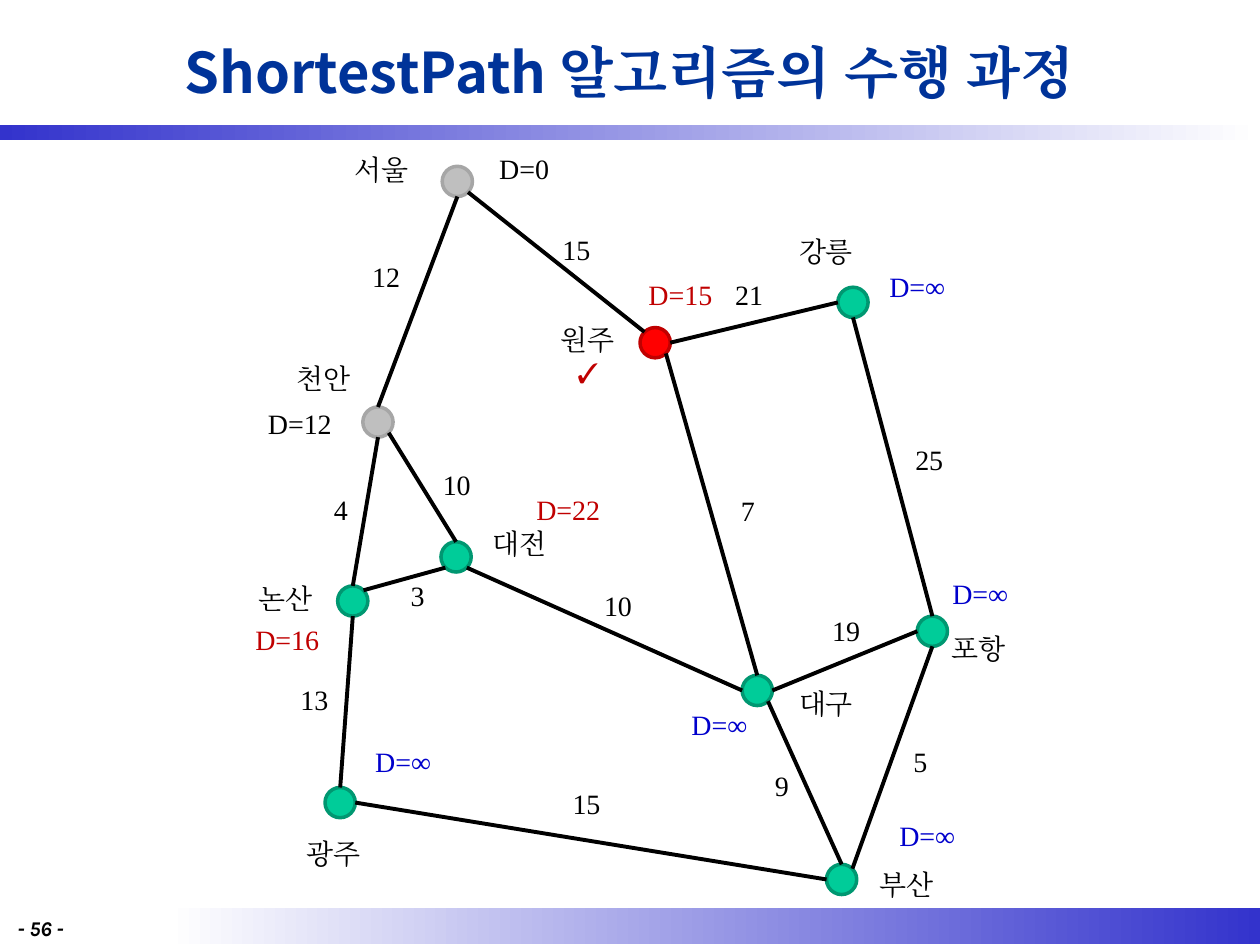
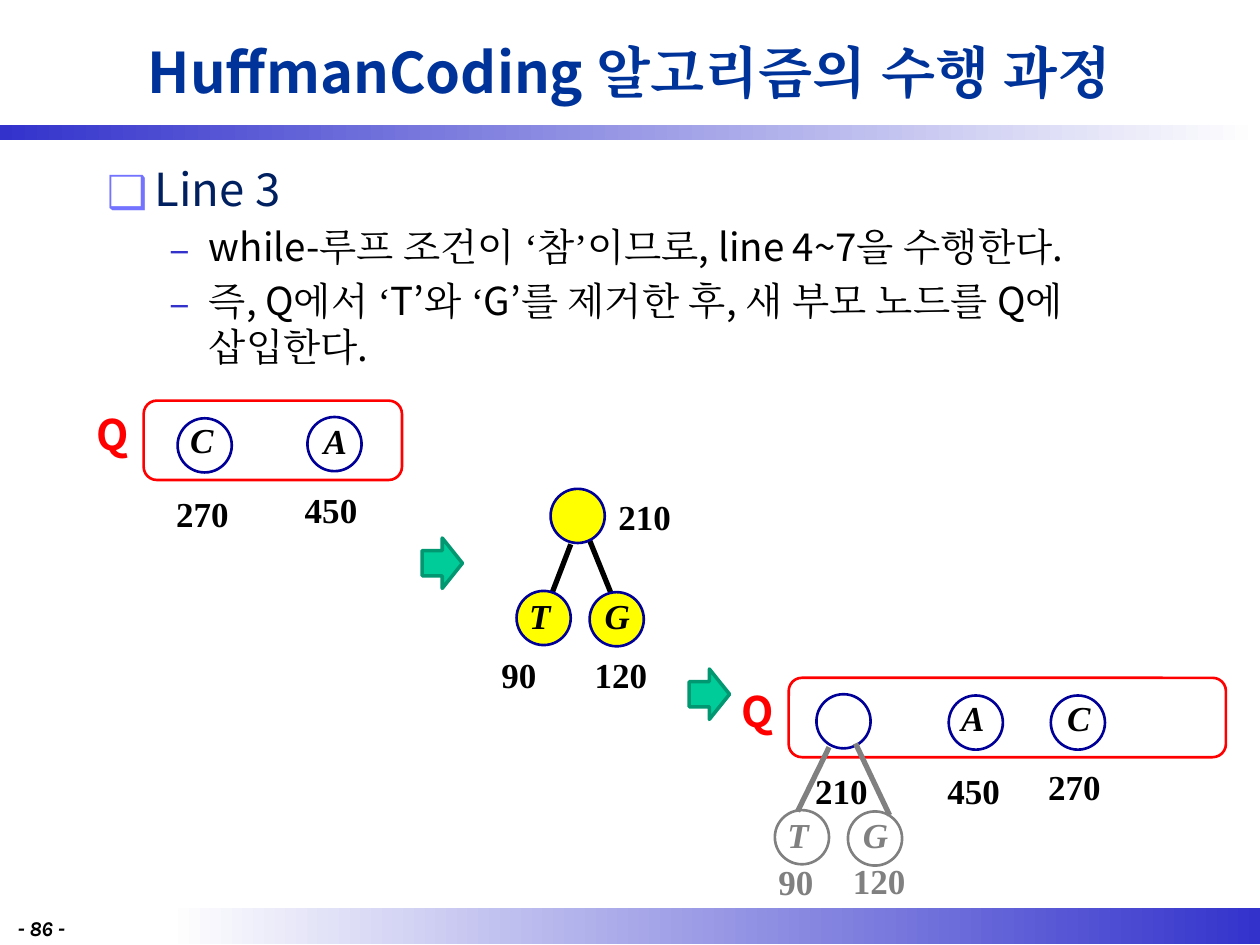
from lxml.etree import SubElement
from pptx import Presentation
from pptx.dml.color import RGBColor
from pptx.enum.shapes import MSO_CONNECTOR, MSO_SHAPE
from pptx.enum.text import MSO_ANCHOR, PP_ALIGN
from pptx.oxml.ns import qn
from pptx.util import Inches, Pt

COLORS = {
    "band": "3333CC", "white": "FFFFFF", "title": "003399", "heading": "002060",
    "bullet": "7373FF", "black": "000000", "gray": "808080",
    "done": "BFBFBF", "done_line": "A6A6A6", "green": "00CC99", "green_line": "009771",
    "red": "FF0000", "dark_red": "C00000", "blue": "0000CC", "navy": "000099",
    "yellow": "FFFF00",
}
SANS, SERIF, FOOTER = "Noto Sans CJK KR", "Times New Roman", "Karla"
CITY_D, NODE_D = 0.24, 0.43
STATES = {"done": ("done", "done_line"), "open": ("green", "green_line"),
          "current": ("red", "dark_red")}
SITES = {"t": (0, -1), "b": (0, 1), "l": (-1, 0), "r": (1, 0), "tl": (-0.71, -0.71),
         "tr": (0.71, -0.71), "bl": (-0.71, 0.71), "br": (0.71, 0.71)}

# name: state, node x, y, label x, y, distance, its colour, its x, y
CITIES = {
    "서울": ("done", 3.51, 1.32, 2.66, 1.16, "D=0", "black", 3.78, 1.15),
    "천안": ("done", 2.88, 3.23, 2.2, 2.82, "D=12", "black", 2, 3.18),
    "원주": ("current", 5.08, 2.6, 4.3, 2.51, "D=15", "dark_red", 5.02, 2.15),
    "강릉": ("open", 6.65, 2.28, 6.19, 1.81, "D=∞", "blue", 6.9, 2.09),
    "대전": ("open", 3.5, 4.3, 3.76, 4.13, "D=22", "dark_red", 4.13, 3.86),
    "논산": ("open", 2.68, 4.65, 1.9, 4.57, "D=16", "dark_red", 1.9, 4.89),
    "대구": ("open", 5.89, 5.36, 6.19, 5.4, "D=∞", "blue", 5.33, 5.57),
    "포항": ("open", 7.28, 4.89, 7.4, 4.96, "D=∞", "blue", 7.4, 4.53),
    "광주": ("open", 2.58, 6.25, 2.28, 6.59, "D=∞", "blue", 2.82, 5.86),
    "부산": ("open", 6.56, 6.86, 6.83, 6.84, "D=∞", "blue", 6.98, 6.45),
}
# city, site, city, site, weight, its x, y
ROADS = [
    ("서울", "b", "천안", "t", "12", 2.77, 2.01),
    ("원주", "tl", "서울", "br", "15", 4.28, 1.8),
    ("강릉", "l", "원주", "r", "21", 5.65, 2.15),
    ("포항", "t", "강릉", "b", "25", 7.08, 3.46),
    ("대구", "t", "원주", "br", "7", 5.64, 3.87),
    ("대전", "t", "천안", "br", "10", 3.33, 3.66),
    ("논산", "t", "천안", "b", "4", 2.41, 3.86),
    ("대전", "bl", "논산", "tr", "3", 3.02, 4.54),
    ("대구", "l", "대전", "br", "10", 4.61, 4.62),
    ("포항", "l", "대구", "r", "19", 6.42, 4.82),
    ("광주", "t", "논산", "b", "13", 2.2, 5.37),
    ("부산", "l", "광주", "r", "15", 4.36, 6.19),
    ("부산", "t", "대구", "br", "9", 5.91, 6.05),
    ("부산", "tr", "포항", "b", "5", 7.01, 5.86),
]


def rgb(name):
    """Return the named colour."""
    return RGBColor.from_string(COLORS[name])


def add_run(p, text, size, color, font=SERIF, bold=False, italic=False):
    """Append a formatted run to a paragraph."""
    r = p.add_run()
    r.text = text
    f = r.font
    f.size, f.bold, f.italic = Pt(size), bold, italic
    f.color.rgb = rgb(color)
    f.name = font
    SubElement(f._element, qn("a:ea")).set("typeface", SERIF)


def add_text(s, x, y, w, h, text, size, color, align=PP_ALIGN.LEFT, wrap=True, **style):
    """Add a one-paragraph text box and return its frame."""
    tf = s.shapes.add_textbox(Inches(x), Inches(y), Inches(w), Inches(h)).text_frame
    tf.word_wrap = wrap
    p = tf.paragraphs[0]
    p.alignment = align
    add_run(p, text, size, color, **style)
    return tf


def add_shape(s, kind, x, y, w, h, fill=None, line=None, width=1.5):
    """Add a flat preset shape with optional fill and outline."""
    sp = s.shapes.add_shape(kind, Inches(x), Inches(y), Inches(w), Inches(h))
    sp.shadow.inherit = False
    if fill:
        sp.fill.solid()
        sp.fill.fore_color.rgb = rgb(fill)
    else:
        sp.fill.background()
    if line:
        sp.line.color.rgb = rgb(line)
        sp.line.width = Pt(width)
    else:
        sp.line.fill.background()
    return sp


def add_line(s, x1, y1, x2, y2, color, width):
    """Add a straight line without a shadow."""
    c = s.shapes.add_connector(MSO_CONNECTOR.STRAIGHT, Inches(x1), Inches(y1),
                               Inches(x2), Inches(y2))
    c.line.color.rgb = rgb(color)
    c.line.width = Pt(width)
    SubElement(c._element.spPr, qn("a:effectLst"))


def add_band(s, x, y, w, h, start, end):
    """Add a horizontal gradient band."""
    sp = add_shape(s, MSO_SHAPE.RECTANGLE, x, y, w, h)
    sp.fill.gradient()
    sp.fill.gradient_angle = 0
    for stop, color, pos in zip(sp.fill.gradient_stops, (start, end), (0, 1)):
        stop.color.rgb = rgb(color)
        stop.position = pos


def add_base(prs, title, page):
    """Add a slide with bands, title and page number."""
    s = prs.slides.add_slide(prs.slide_layouts[6])
    add_band(s, 1.33, 7.21, 8.67, 0.28, "white", "band")
    add_band(s, 0, 0.99, 10, 0.12, "band", "white")
    tf = add_text(s, 0.75, 0.05, 8.5, 1.03, title, 32, "title", PP_ALIGN.CENTER,
                  font=SANS, bold=True)
    tf.vertical_anchor = MSO_ANCHOR.MIDDLE
    add_text(s, 0.04, 7.22, 0.71, 0.24, f"- {page} -", 12, "black",
             font=FOOTER, bold=True, italic=True)
    return s


def add_bullet(p, text, size, color, char, char_color, left, hang):
    """Fill a paragraph with a bulleted line."""
    pPr = p._p.get_or_add_pPr()
    pPr.set("marL", str(Inches(left)))
    pPr.set("indent", str(-Inches(hang)))
    clr = SubElement(SubElement(pPr, qn("a:buClr")), qn("a:srgbClr"))
    clr.set("val", COLORS[char_color])
    SubElement(pPr, qn("a:buFont")).set("typeface", SANS)
    SubElement(pPr, qn("a:buChar")).set("char", char)
    add_run(p, text, size, color, font=SANS)


def add_label(s, x, y, w, text, color="black"):
    """Add a centred map label."""
    return add_text(s, x, y, w, 0.37, text, 16, color, PP_ALIGN.CENTER)


def site_point(city, site):
    """Return the point on a city's rim."""
    x, y = CITIES[city][1:3]
    dx, dy = SITES[site]
    r = CITY_D / 2
    return x + r + r * dx, y + r + r * dy


def add_city(s, name, state, x, y, label_x, label_y, dist, color, dist_x, dist_y):
    """Add a city node with its name and distance."""
    add_shape(s, MSO_SHAPE.OVAL, x, y, CITY_D, CITY_D, *STATES[state], width=2)
    tf = add_label(s, label_x - 0.03, label_y, 0.79, name)
    if state == "current":
        p = tf.add_paragraph()
        p.alignment = PP_ALIGN.CENTER
        add_run(p, "✓", 16, "dark_red", bold=True)
    add_label(s, dist_x, dist_y, 0.76, dist, color)


def add_road(s, a, a_site, b, b_site, weight, x, y):
    """Add a weighted edge between two cities."""
    add_line(s, *site_point(a, a_site), *site_point(b, b_site), "black", 2.25)
    add_label(s, x, y, 0.59, weight)


def add_node(s, x, y, letter="", shift=0, rise=0.02, fill=None, line="navy", color="black"):
    """Add a tree node, with a letter when given."""
    add_shape(s, MSO_SHAPE.OVAL, x, y, NODE_D, NODE_D, fill, line)
    if letter:
        add_text(s, x + shift, y - rise, 0.39, 0.44, letter, 20, color, wrap=False,
                 bold=True, italic=True)


def add_count(s, x, y, text, color="black"):
    """Add a frequency."""
    add_text(s, x, y, 0.62, 0.44, text, 20, color, wrap=False, bold=True)


def add_leaves(s, x, y, fill, line, color, edges, counts):
    """Add the T and G leaves with edges and frequencies."""
    for edge in edges:
        add_line(s, *edge, color, 3)
    add_node(s, x, y, "T", 0, 0.02, fill, line, color)
    add_node(s, x + 0.58, y + 0.01, "G", 0.02, 0.03, fill, line, color)
    for count in counts:
        add_count(s, *count, color)


def add_queue(s, x, y, w):
    """Add a queue frame and its name."""
    add_shape(s, MSO_SHAPE.ROUNDED_RECTANGLE, x, y, w, 0.63, line="red")
    add_text(s, x - 0.47, y + 0.01, 0.32, 0.51, "Q", 24, "red", wrap=False,
             font=SANS, bold=True)


def add_path_slide(prs):
    """Build the shortest path slide."""
    s = add_base(prs, "ShortestPath 알고리즘의 수행 과정", 56)
    for name, city in CITIES.items():
        add_city(s, name, *city)
    for road in ROADS:
        add_road(s, *road)


def add_huffman_slide(prs):
    """Build the Huffman coding slide."""
    s = add_base(prs, "HuffmanCoding 알고리즘의 수행 과정", 86)
    tf = s.shapes.add_textbox(Inches(0.75), Inches(1.23), Inches(8.5), Inches(5.98)).text_frame
    tf.word_wrap = True
    add_bullet(tf.paragraphs[0], "Line 3", 26, "heading", "❑", "bullet", 0.38, 0.38)
    for text in ("while-루프 조건이 ‘참’이므로, line 4~7을 수행한다.",
                 "즉, Q에서 ‘T’와 ‘G’를 제거한 후, 새 부모 노드를 Q에 삽입한다."):
        p = tf.add_paragraph()
        p.level = 1
        p.space_before = Pt(4.4)
        add_bullet(p, text, 22, "black", "–", "band", 0.81, 0.31)

    add_queue(s, 1.14, 3.18, 2.05)
    add_node(s, 1.41, 3.32, "C", 0, 0.05)
    add_node(s, 2.44, 3.31, "A", 0.03, 0.03)
    add_count(s, 1.3, 3.86, "270")
    add_count(s, 2.32, 3.83, "450")

    add_leaves(s, 4.1, 4.69, "yellow", "navy", "black",
               [(4.53, 4.32, 4.38, 4.71), (4.68, 4.29, 4.85, 4.71)],
               [(3.88, 5.14, "90"), (4.62, 5.14, "120")])
    add_node(s, 4.37, 3.88, fill="yellow")
    add_count(s, 4.81, 3.88, "210")

    add_queue(s, 6.26, 5.38, 3.47)
    add_node(s, 6.48, 5.51)
    add_node(s, 7.53, 5.52, "A", 0, 0.04)
    add_node(s, 8.34, 5.52, "C", 0.03, 0.04)
    add_count(s, 6.37, 6.06, "210")
    add_count(s, 7.42, 6.06, "450")
    add_count(s, 8.22, 6.03, "270")
    add_leaves(s, 6.15, 6.43, None, "gray", "gray",
               [(6.58, 5.93, 6.33, 6.44), (6.79, 5.9, 7.06, 6.47)],
               [(6.08, 6.78, "90"), (6.67, 6.77, "120")])

    for x, y in ((3.35, 4.27), (5.47, 5.31)):
        add_shape(s, MSO_SHAPE.RIGHT_ARROW, x, y, 0.32, 0.4, "green", "green_line", 2)


def main():
    """Build and save the presentation."""
    prs = Presentation()
    prs.slide_width, prs.slide_height = Inches(10), Inches(7.5)
    add_path_slide(prs)
    add_huffman_slide(prs)
    prs.save("out.pptx")


if __name__ == "__main__":
    main()
